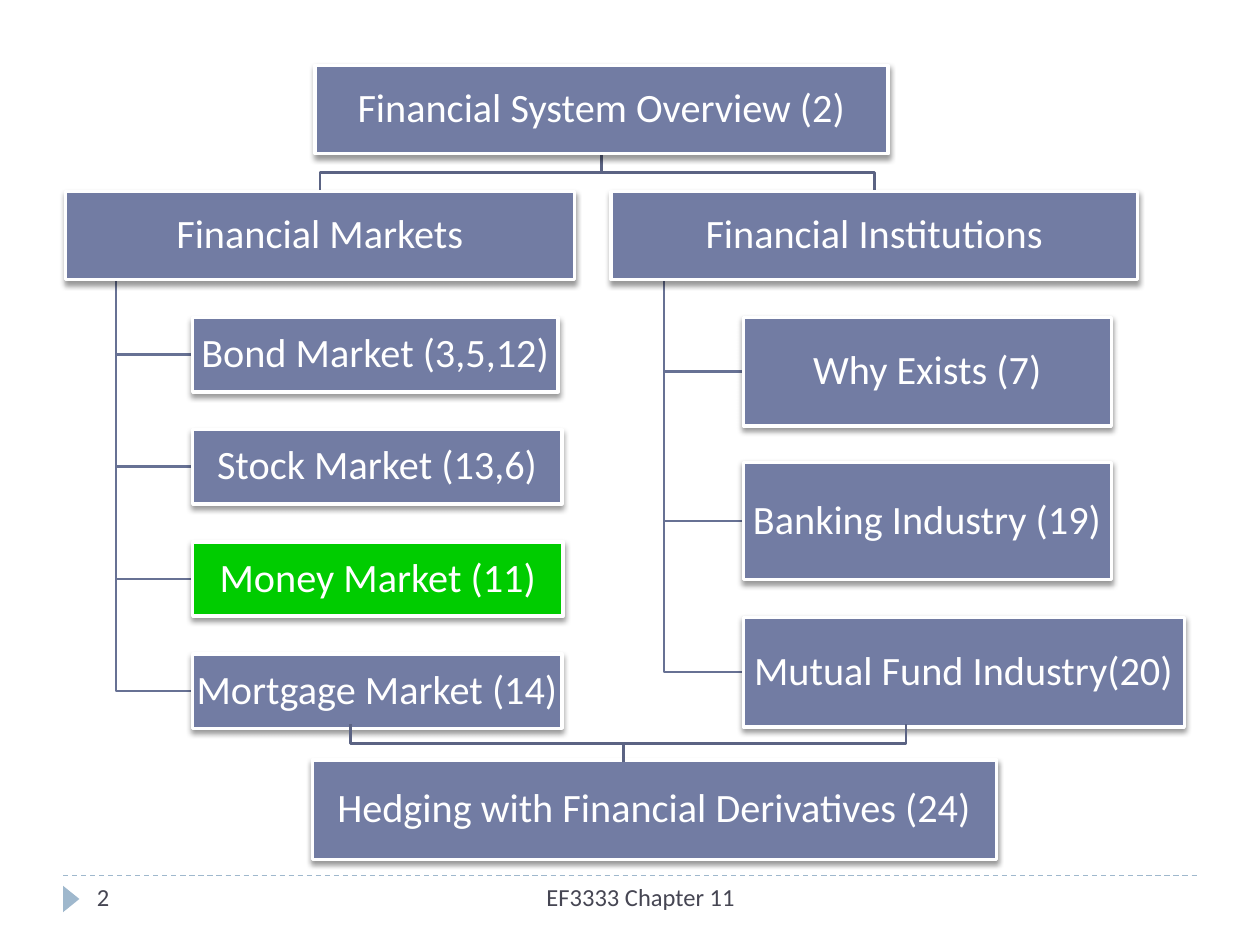
from typing import NamedTuple

from lxml.etree import SubElement
from pptx import Presentation
from pptx.dml.color import RGBColor
from pptx.enum.dml import MSO_LINE
from pptx.enum.shapes import MSO_CONNECTOR, MSO_SHAPE
from pptx.enum.text import MSO_ANCHOR, PP_ALIGN
from pptx.oxml.ns import qn
from pptx.util import Inches, Pt

BLUE, GREEN, WHITE = "727CA3", "00CC00", "FFFFFF"
TRUNK, TWIG = "5B6383", "677194"
PALE, INK = "9FB8CD", "464653"

deck = Presentation()
deck.slide_width, deck.slide_height = Inches(10), Inches(7.5)
slide = deck.slides.add_slide(deck.slide_layouts[6])
shapes = slide.shapes


class Box(NamedTuple):
    """A box placed on a grid of 100 columns and 75 rows."""
    text: str
    col: float
    row: float
    wide: float
    high: float
    fill: str = BLUE

    @property
    def foot(self) -> float:
        return self.row + self.high

    @property
    def mid(self) -> tuple[float, float]:
        return self.col + self.wide / 2, self.row + self.high / 2


class Branch(NamedTuple):
    head: Box
    stem: float
    leaves: list[Box]


def grid(*cells: float) -> list[int]:
    """Turn columns or rows into lengths; cells are square."""
    return [round(c * deck.slide_width / 100) for c in cells]


def color(code: str) -> RGBColor:
    return RGBColor.from_string(code)


def write(frame, text: str, *, size: float = 23, ink: str = WHITE,
          align=PP_ALIGN.CENTER, anchor=MSO_ANCHOR.MIDDLE,
          inset: float = 0.02, lead: float = 0.9) -> None:
    frame.word_wrap = True
    frame.vertical_anchor = anchor
    frame.margin_left = frame.margin_right = Inches(inset)
    frame.margin_top = frame.margin_bottom = Inches(min(inset, 0.05))
    para = frame.paragraphs[0]
    para.alignment, para.line_spacing = align, lead
    run = para.add_run()
    run.text = text
    run.font.name, run.font.size = "Calibri", Pt(size)
    run.font.color.rgb = color(ink)


def shade(shape) -> None:
    """Soft shadow straight below the shape."""
    shape.shadow.inherit = False
    effect = shape._element.spPr.find(qn("a:effectLst"))
    drop = SubElement(effect, qn("a:outerShdw"), blurRad=str(Pt(3)),
                      dist=str(Pt(2)), dir="5400000", rotWithShape="0")
    black = SubElement(drop, qn("a:srgbClr"), val="000000")
    SubElement(black, qn("a:alpha"), val="40000")


def draw(box: Box) -> None:
    shape = shapes.add_shape(MSO_SHAPE.RECTANGLE, *grid(*box[1:5]))
    shape.fill.solid()
    shape.fill.fore_color.rgb = color(box.fill)
    shape.line.color.rgb = color(WHITE)
    shape.line.width = Pt(2)
    shade(shape)
    write(shape.text_frame, box.text)


def trace(ink: str, *points: tuple[float, float]) -> None:
    """Open bent line through grid points."""
    first, *rest = [grid(*point) for point in points]
    pen = shapes.build_freeform(*first, scale=1.0)
    pen.add_line_segments(rest, close=False)
    shape = pen.convert_to_shape()
    shape.fill.background()
    shape.line.color.rgb = color(ink)
    shape.line.width = Pt(1.5)
    shape.shadow.inherit = False


def fork(x: float, y: float, ends: list[float], rise: float) -> None:
    """Join one point to several, half a rise out, across and on."""
    for end in ends:
        trace(TRUNK, (x, y), (x, y + rise / 2),
              (end, y + rise / 2), (end, y + rise))


def label(text: str, col: float, wide: float, align) -> None:
    frame = shapes.add_textbox(*grid(col, 69.5, wide, 4)).text_frame
    write(frame, text, size=14, ink=INK, align=align,
          anchor=MSO_ANCHOR.TOP, inset=0.1, lead=1.0)


# Footer
rule = shapes.add_connector(MSO_CONNECTOR.STRAIGHT, *grid(5, 69.5, 95, 69.5))
rule.line.color.rgb = color(PALE)
rule.line.width = Pt(0.75)
rule.line.dash_style = MSO_LINE.DASH
SubElement(rule._element.spPr, qn("a:effectLst"))

mark = shapes.add_shape(MSO_SHAPE.ISOSCELES_TRIANGLE,
                        *grid(4.6, 70.7, 2.1, 1.3))
mark.rotation = 90
mark.fill.solid()
mark.fill.fore_color.rgb = color(PALE)
mark.line.fill.background()
mark.shadow.inherit = False

label("EF3333 Chapter 11", 31.7, 38.3, PP_ALIGN.CENTER)
label("2", 6.7, 21.7, PP_ALIGN.LEFT)

# Chart content
root = Box("Financial System Overview (2)", 25, 5.2, 45.5, 7)
last = Box("Hedging with Financial Derivatives (24)", 24.8, 60.3, 54.3, 7.9)
branches = [
    Branch(Box("Financial Markets", 5.2, 15.2, 40.4, 7), 9.2, [
        Box("Bond Market (3,5,12)", 15.3, 25.2, 29, 5.9),
        Box("Stock Market (13,6)", 15.3, 34.1, 29.3, 5.9),
        Box("Money Market (11)", 15.3, 43, 29.4, 5.9, GREEN),
        Box("Mortgage Market (14)", 15.3, 51.9, 29.3, 5.9),
    ]),
    Branch(Box("Financial Institutions", 48.5, 15.2, 41.8, 7), 52.7, [
        Box("Why Exists (7)", 59, 25.2, 29.2, 8.6),
        Box("Banking Industry (19)", 59, 36.7, 29.2, 9.3),
        Box("Mutual Fund Industry(20)", 59, 49, 35, 8.7),
    ]),
]

# Lines lie under the boxes
fork(root.mid[0], root.foot, [b.head.mid[0] for b in branches], 3)
for head, stem, leaves in branches:
    for leaf in leaves:
        y = leaf.mid[1]
        trace(TWIG, (stem, head.foot), (stem, y), (leaf.col, y))

# Boxes
draw(root)
for head, stem, leaves in branches:
    for box in (head, *leaves):
        draw(box)
draw(last)

# Both branches lead to the last box
fork(49.5, 60.5, [27.8, 71.9], -3)

deck.save("out.pptx")
